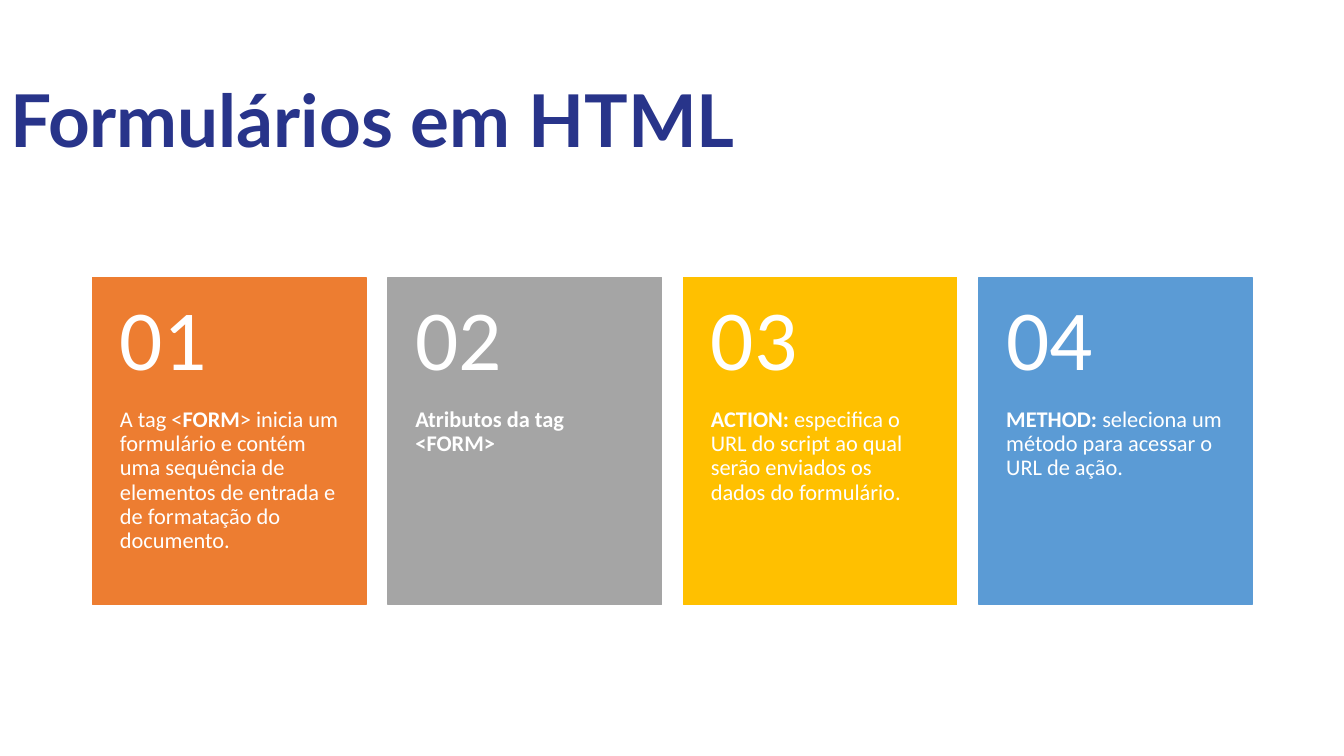
from dataclasses import dataclass

from pptx import Presentation
from pptx.dml.color import RGBColor
from pptx.enum.shapes import MSO_SHAPE
from pptx.enum.text import MSO_ANCHOR, MSO_AUTO_SIZE, PP_ALIGN
from pptx.util import Inches, Pt

RECT = MSO_SHAPE.RECTANGLE
TOP, MIDDLE = MSO_ANCHOR.TOP, MSO_ANCHOR.MIDDLE
LEFT = PP_ALIGN.LEFT
NO_FIT = MSO_AUTO_SIZE.NONE
TITLE_ONLY = 5


@dataclass(frozen=True)
class Theme:
    navy: str = "28348A"
    white: str = "FFFFFF"
    fills: tuple = ("ED7D31", "A5A5A5", "FFC000", "5B9BD5")
    head: str = "Lato"
    body: str = "Calibri"
    title: int = 52
    number: int = 61
    text: int = 16


THEME = Theme()

# Each card is a list of (text, bold) runs
CARDS = [
    [("A tag <", False), ("FORM", True),
     ("> inicia um formulário e contém uma sequência de elementos de "
      "entrada e de formatação do documento.", False)],
    [("Atributos da tag <FORM>", True)],
    [("ACTION:", True),
     (" especifica o URL do script ao qual serão enviados os dados do "
      "formulário.", False)],
    [("METHOD:", True),
     (" seleciona um método para acessar o URL de ação.", False)],
]


def color(code):
    return RGBColor.from_string(code)


def style(para, face, size, code):
    para.alignment = LEFT
    para.line_spacing = 0.9
    para.font.name = face
    para.font.size = Pt(size)
    para.font.color.rgb = color(code)


def add_title(slide, text, x, y, w, h):
    title = slide.shapes.title
    title.left, title.top = Inches(x), Inches(y)
    title.width, title.height = Inches(w), Inches(h)
    frame = title.text_frame
    frame.text = text
    frame.auto_size = NO_FIT
    frame.vertical_anchor = MIDDLE
    para = frame.paragraphs[0]
    style(para, THEME.head, THEME.title, THEME.navy)
    para.font.bold = True


def add_text(shapes, runs, size, anchor, pads, x, y, w, h):
    box = shapes.add_textbox(Inches(x), Inches(y), Inches(w), Inches(h))
    frame = box.text_frame
    frame.word_wrap = True
    frame.vertical_anchor = anchor
    frame.margin_left = frame.margin_right = Inches(0.27)
    frame.margin_top, frame.margin_bottom = map(Inches, pads)
    para = frame.paragraphs[0]
    style(para, THEME.body, size, THEME.white)
    for text, bold in runs:
        run = para.add_run()
        run.text = text
        run.font.bold = bold


def add_card(shapes, number, runs, fill, x, y, w, h):
    # Coloured panel
    panel = shapes.add_shape(RECT, Inches(x), Inches(y), Inches(w), Inches(h))
    panel.shadow.inherit = False
    panel.fill.solid()
    panel.fill.fore_color.rgb = color(fill)
    panel.line.color.rgb = color(fill)
    panel.line.width = Pt(1)

    # Text below, number in the top two fifths
    split = 0.4 * h
    add_text(shapes, runs, THEME.text, TOP, (0, 0.36),
             x, y + split, w, h - split)
    add_text(shapes, [(number, False)], THEME.number, MIDDLE, (0.18, 0.18),
             x, y, w, split)


def add_cards(slide, x, y, w, h, gap):
    shapes = slide.shapes.add_group_shape().shapes
    count = len(CARDS)
    wide = (w - gap * (count - 1)) / count
    for i, (runs, fill) in enumerate(zip(CARDS, THEME.fills)):
        add_card(shapes, f"{i + 1:02}", runs, fill,
                 x + i * (wide + gap), y, wide, h)


def main():
    deck = Presentation()
    deck.slide_width, deck.slide_height = Inches(13.33), Inches(7.5)
    slide = deck.slides.add_slide(deck.slide_layouts[TITLE_ONLY])
    add_title(slide, "Formulários em HTML", 0, 0.61, 11.5, 1.24)
    add_cards(slide, 0.92, 2.75, 11.5, 3.25, 0.22)
    deck.save("out.pptx")


if __name__ == "__main__":
    main()
